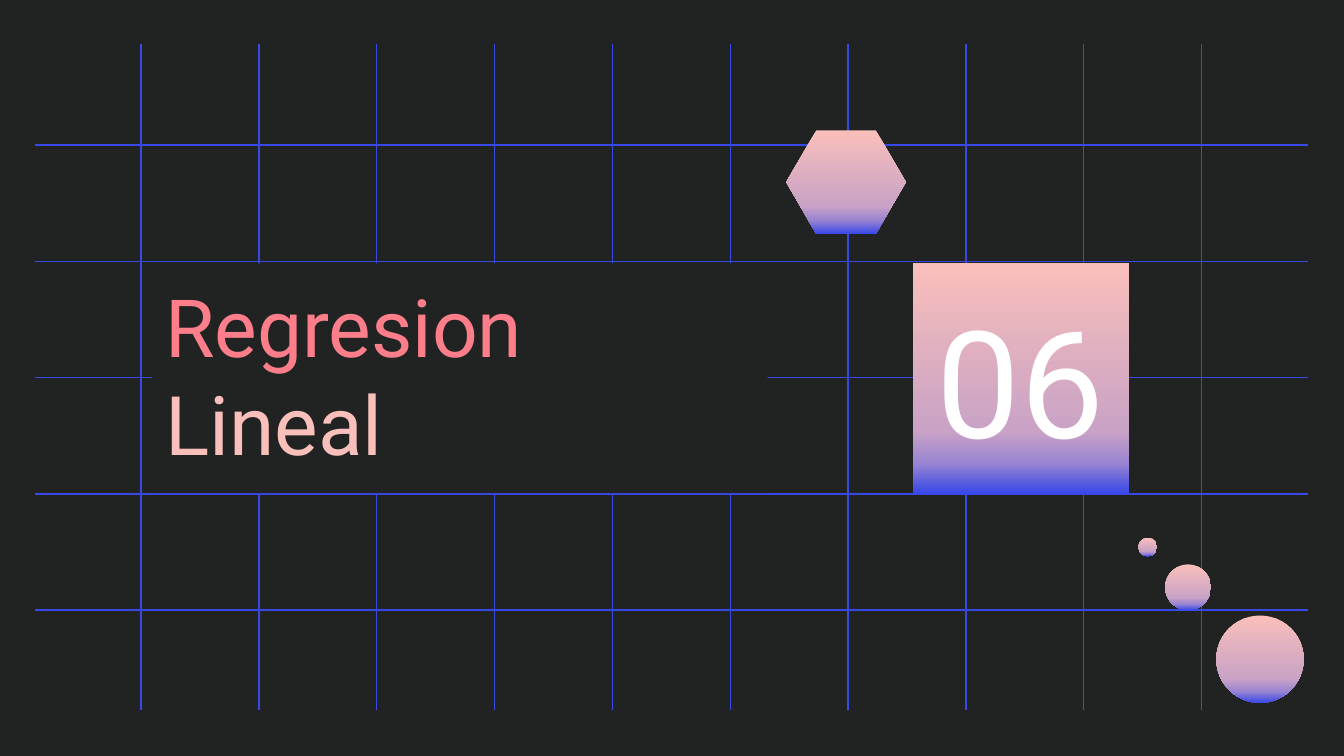
from dataclasses import dataclass

import pptx
import pptx.dml.color
import pptx.enum.shapes
import pptx.enum.text
import pptx.oxml
import pptx.oxml.ns
import pptx.util
from pptx.util import Inches

SHAPES = pptx.enum.shapes.MSO_SHAPE
ALIGN = pptx.enum.text.PP_ALIGN
ANCHOR = pptx.enum.text.MSO_ANCHOR


@dataclass(frozen=True)
class Theme:
    font: str = "Roboto"
    background: str = "212222"
    blue: str = "3949E8"
    coral: str = "FB7E8A"
    peach: str = "F9BFBA"
    white: str = "FFFFFF"
    gradient: tuple = ((0, "F9BFBA"), (73, "C9A2C6"), (87, "9984D1"), (100, "3949E8"))
    first_line_size: float = 43
    second_line_size: float = 44
    number_size: float = 80
    grid_width: float = 0.75


@dataclass(frozen=True)
class Box:
    left: float
    top: float
    width: float
    height: float


@dataclass(frozen=True)
class GridAxis:
    """Evenly spaced parallel lines."""
    first: float
    last: float
    count: int
    start: float
    end: float
    vertical: bool


THEME = Theme()
GRID = (
    GridAxis(1.08, 4.54, 5, 9.73, 0.26, False),
    GridAxis(1.05, 8.94, 10, 0.33, 5.28, True),
)
TITLE_BOX = Box(1.13, 1.96, 4.58, 1.71)
NUMBER_BOX = Box(6.79, 1.96, 1.61, 1.71)
HEXAGON_BOX = Box(5.85, 0.97, 0.89, 0.77)
BUBBLES = (
    Box(9.05, 4.58, 0.65, 0.65),
    Box(8.67, 4.2, 0.34, 0.34),
    Box(8.47, 4, 0.14, 0.14),
)


def rgb(color: str) -> pptx.dml.color.RGBColor:
    return pptx.dml.color.RGBColor.from_string(color)


def place(shape, box: Box) -> None:
    shape.left, shape.top = Inches(box.left), Inches(box.top)
    shape.width, shape.height = Inches(box.width), Inches(box.height)


def fill_gradient(shape) -> None:
    """Fill from top to bottom with the theme's gradient stops."""
    shape.fill.gradient()
    shape.fill.gradient_angle = 270
    qn = pptx.oxml.ns.qn
    stops = shape._element.spPr.find(qn("a:gradFill")).find(qn("a:gsLst"))
    for old_stop in list(stops):
        stops.remove(old_stop)
    for percent, color in THEME.gradient:
        stops.append(pptx.oxml.parse_xml(
            f'<a:gs {pptx.oxml.ns.nsdecls("a")} pos="{percent * 1000}">'
            f'<a:srgbClr val="{color}"/></a:gs>'))


def draw_axis(page, axis: GridAxis) -> None:
    gap = (axis.last - axis.first) / (axis.count - 1)
    for index in range(axis.count):
        offset = axis.first + index * gap
        ends = (axis.start, offset, axis.end, offset)
        if axis.vertical:
            ends = (offset, axis.start, offset, axis.end)
        line = page.shapes.add_connector(
            pptx.enum.shapes.MSO_CONNECTOR.STRAIGHT, *map(Inches, ends))
        line.line.color.rgb = rgb(THEME.blue)
        line.line.width = pptx.util.Pt(THEME.grid_width)
        line._element.spPr.append(pptx.oxml.parse_xml(
            f'<a:effectLst {pptx.oxml.ns.nsdecls("a")}/>'))


def draw_ornament(page, kind: SHAPES, box: Box):
    shape = page.shapes.add_shape(
        kind, *map(Inches, (box.left, box.top, box.width, box.height)))
    shape.shadow.inherit = False
    shape.line.fill.background()
    fill_gradient(shape)
    return shape


def add_span(para, text: str, *, size: float, color: str) -> None:
    span = para.add_run()
    span.text = text
    span.font.name = THEME.font
    span.font.size = pptx.util.Pt(size)
    span.font.color.rgb = rgb(color)


def prepare_placeholder(page, placeholder, box: Box, *, align: ALIGN, anchor: ANCHOR):
    """Place a placeholder above the grid and return its first paragraph."""
    page.shapes._spTree.append(placeholder._element)
    place(placeholder, box)
    frame = placeholder.text_frame
    frame.word_wrap = True
    frame.auto_size = pptx.enum.text.MSO_AUTO_SIZE.NONE
    frame.vertical_anchor = anchor
    frame.margin_left = frame.margin_right = Inches(0.1)
    frame.margin_top = frame.margin_bottom = Inches(0.1)
    para = frame.paragraphs[0]
    para.alignment = align
    para.space_before = pptx.util.Pt(0)
    return para


def main() -> None:
    deck = pptx.Presentation()
    deck.slide_width = Inches(10)
    deck.slide_height = deck.slide_width * 9 // 16
    page = deck.slides.add_slide(deck.slide_layouts[0])
    page.background.fill.solid()
    page.background.fill.fore_color.rgb = rgb(THEME.background)

    # Background grid
    for axis in GRID:
        draw_axis(page, axis)

    # Section title, covering the grid behind it
    title = page.shapes.title
    para = prepare_placeholder(
        page, title, TITLE_BOX, align=ALIGN.LEFT, anchor=ANCHOR.TOP)
    title.fill.solid()
    title.fill.fore_color.rgb = rgb(THEME.background)
    add_span(para, "Regresion", size=THEME.first_line_size, color=THEME.coral)
    para.add_line_break()
    add_span(para, "Lineal", size=THEME.second_line_size, color=THEME.peach)

    # Section number
    number = page.placeholders[1]
    para = prepare_placeholder(
        page, number, NUMBER_BOX, align=ALIGN.CENTER, anchor=ANCHOR.MIDDLE)
    fill_gradient(number)
    add_span(para, "06", size=THEME.number_size, color=THEME.white)

    # Ornaments
    hexagon = draw_ornament(page, SHAPES.HEXAGON, HEXAGON_BOX)
    hexagon.adjustments[0] = 0.29
    for bubble in BUBBLES:
        draw_ornament(page, SHAPES.OVAL, bubble)

    deck.save("out.pptx")


if __name__ == "__main__":
    main()
